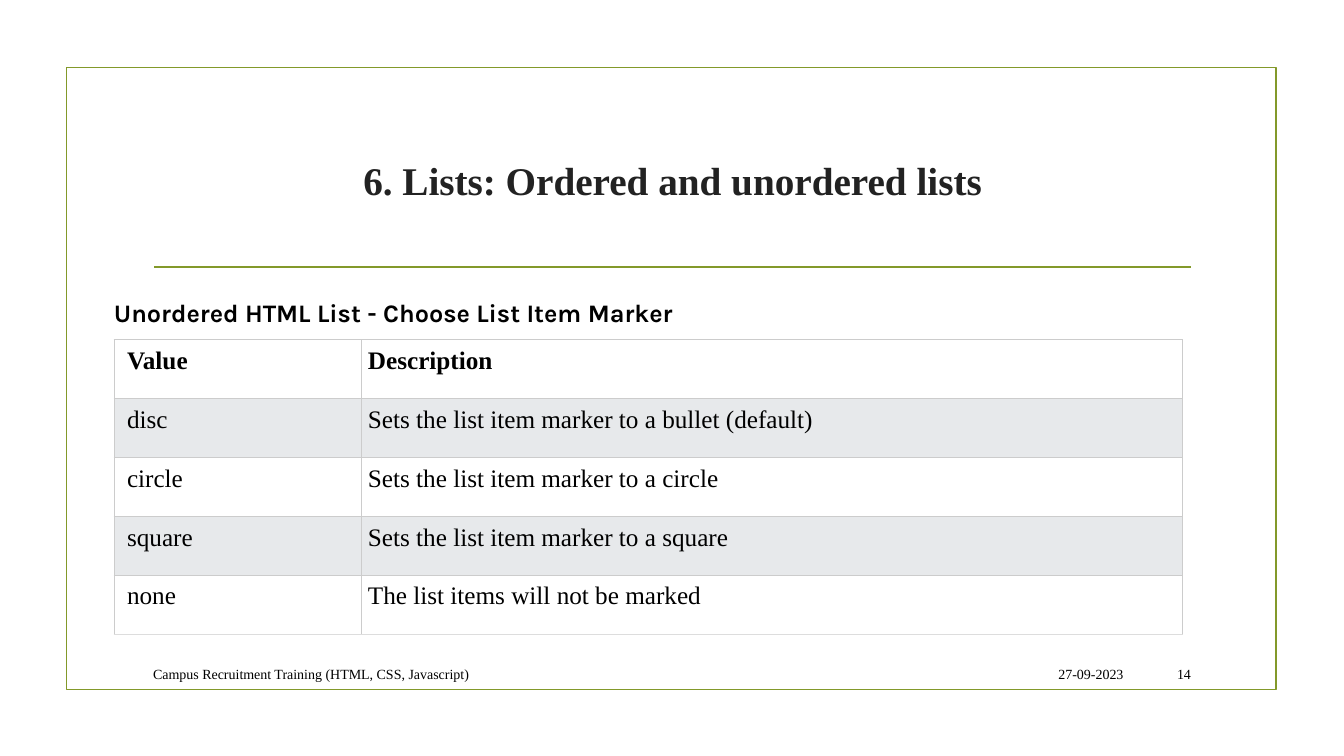
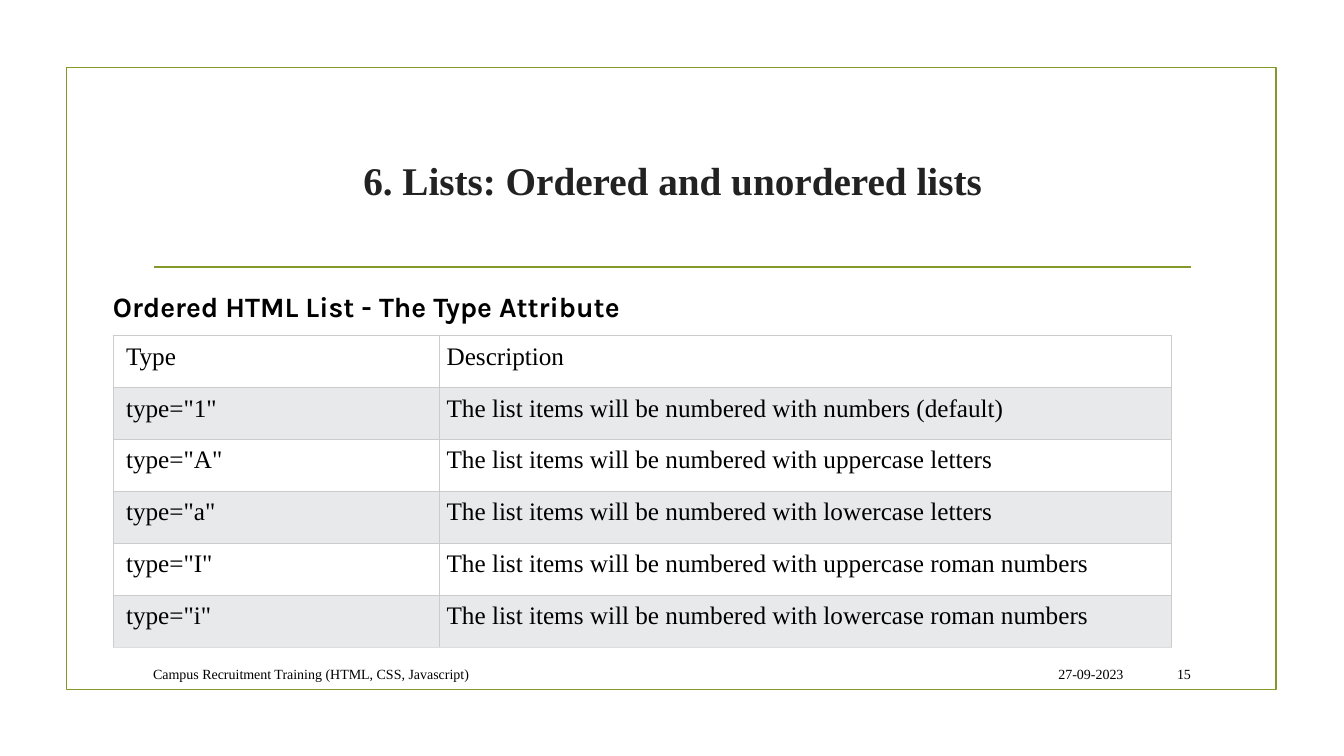
from lxml import etree
from pptx import Presentation
from pptx.dml.color import RGBColor
from pptx.enum.shapes import MSO_CONNECTOR, MSO_SHAPE
from pptx.enum.text import MSO_ANCHOR, MSO_AUTO_SIZE, PP_ALIGN
from pptx.oxml.ns import qn
from pptx.util import Inches, Pt

LEFT, CENTER, RIGHT = PP_ALIGN.LEFT, PP_ALIGN.CENTER, PP_ALIGN.RIGHT
MIDDLE, TOP = MSO_ANCHOR.MIDDLE, MSO_ANCHOR.TOP
NO_AUTOFIT = MSO_AUTO_SIZE.NONE
RECTANGLE = MSO_SHAPE.RECTANGLE
STRAIGHT = MSO_CONNECTOR.STRAIGHT
TITLE_ONLY = 5

# Shared style
GREEN, INK, BLACK, WHITE = "83992A", "222222", "000000", "FFFFFF"
BAND, BORDER, BOTTOM_BORDER = "E7E9EB", "CCCCCC", "DDDDDD"
SERIF, SANS = "Times New Roman", "Karla"
TITLE = "6. Lists: Ordered and unordered lists"
FOOTER = "Campus Recruitment Training (HTML, CSS, Javascript)"
DATE = "27-09-2023"

# Slide content
MARKER_ROWS = [
    ("Value", "Description"),
    ("disc", "Sets the list item marker to a bullet (default)"),
    ("circle", "Sets the list item marker to a circle"),
    ("square", "Sets the list item marker to a square"),
    ("none", "The list items will not be marked"),
]
TYPE_ROWS = [
    ("Type", "Description"),
    ('type="1"', "The list items will be numbered with numbers (default)"),
    ('type="A"', "The list items will be numbered with uppercase letters"),
    ('type="a"', "The list items will be numbered with lowercase letters"),
    ('type="I"', "The list items will be numbered with uppercase roman numbers"),
    ('type="i"', "The list items will be numbered with lowercase roman numbers"),
]


def paint(color_format, color):
    """Apply a hex colour to a fill, line or font."""
    color_format.rgb = RGBColor.from_string(color)


def fill_solid(target, color):
    target.fill.solid()
    paint(target.fill.fore_color, color)


def place(shape, left, top, width, height):
    shape.left, shape.top = Inches(left), Inches(top)
    shape.width, shape.height = Inches(width), Inches(height)


def write_text(frame, text, size=18, font=SERIF, color=BLACK, bold=False,
               align=LEFT, anchor=MIDDLE):
    frame.word_wrap = True
    frame.vertical_anchor = anchor
    para = frame.paragraphs[0]
    para.alignment = align
    span = para.add_run()
    span.text = text
    span.font.size, span.font.name, span.font.bold = Pt(size), font, bold
    paint(span.font.color, color)


def add_text(page, text, left, top, width, height, **style):
    box = page.shapes.add_textbox(Inches(left), Inches(top),
                                  Inches(width), Inches(height))
    write_text(box.text_frame, text, **style)
    return box


def add_frame(page):
    """Draw the green outline and the line below the title."""
    outline = page.shapes.add_shape(RECTANGLE, Inches(0.66), Inches(0.67),
                                    Inches(12), Inches(6.17))
    outline.shadow.inherit = False
    outline.fill.background()
    divider = page.shapes.add_connector(STRAIGHT, Inches(1.53), Inches(2.65),
                                        Inches(11.81), Inches(2.65))
    etree.SubElement(divider._element.spPr, qn("a:effectLst"))
    for shape in (outline, divider):
        paint(shape.line.color, GREEN)
        shape.line.width = Pt(1.25)


def add_page(deck, number):
    """Add a slide with the shared frame, title and footer."""
    page = deck.slides.add_slide(deck.slide_layouts[TITLE_ONLY])
    add_frame(page)
    title = page.shapes.title
    place(title, 1.42, 1.07, 10.5, 1.43)
    write_text(title.text_frame, TITLE, size=28, color=INK, bold=True,
               align=CENTER)
    title.text_frame.auto_size = NO_AUTOFIT
    add_text(page, FOOTER, 1.42, 6.53, 7.99, 0.31, size=10)
    add_text(page, DATE, 9.49, 6.53, 1.75, 0.31, size=10, align=RIGHT)
    add_text(page, str(number), 11.32, 6.53, 0.59, 0.31, size=10, align=RIGHT)
    return page


def add_heading(page, text, left, top, width, height, size):
    box = add_text(page, text, left, top, width, height, size=size, font=SANS,
                   bold=True)
    fill_solid(box, WHITE)
    frame = box.text_frame
    frame.margin_left = frame.margin_right = 0
    frame.margin_top = frame.margin_bottom = Inches(0.07)


def set_borders(cell, bottom):
    """Borders must come before the fill in the cell properties."""
    properties = cell._tc.get_or_add_tcPr()
    sides = {"lnL": BORDER, "lnR": BORDER, "lnT": BORDER, "lnB": bottom}
    for index, (side, color) in enumerate(sides.items()):
        line = etree.Element(qn(f"a:{side}"), w=str(Pt(0.6)))
        fill = etree.SubElement(line, qn("a:solidFill"))
        etree.SubElement(fill, qn("a:srgbClr"), val=color)
        properties.insert(index, line)


def add_grid(page, rows, left, top, widths, row_height, bold_header=False):
    table = page.shapes.add_table(
        len(rows), len(widths), Inches(left), Inches(top),
        Inches(sum(widths)), Inches(row_height * len(rows))).table
    for column, width in zip(table.columns, widths):
        column.width = Inches(width)
    for row_index, texts in enumerate(rows):
        table.rows[row_index].height = Inches(row_height)
        is_last = row_index == len(rows) - 1
        for column_index, text in enumerate(texts):
            cell = table.cell(row_index, column_index)
            cell.margin_left = Inches(0.07 if column_index else 0.13)
            cell.margin_right = cell.margin_top = cell.margin_bottom = Inches(0.07)
            write_text(cell.text_frame, text, anchor=TOP,
                       bold=bold_header and row_index == 0)
            fill_solid(cell, BAND if row_index % 2 else WHITE)
            set_borders(cell, BOTTOM_BORDER if is_last else BORDER)


def main():
    deck = Presentation()
    deck.slide_width, deck.slide_height = Inches(13.33), Inches(7.5)

    # Unordered list markers
    page = add_page(deck, 14)
    add_grid(page, MARKER_ROWS, 1.13, 3.37, (2.45, 8.15), 0.585,
             bold_header=True)
    add_heading(page, "Unordered HTML List - Choose List Item Marker",
                1.13, 2.88, 9.67, 0.44, size=18)

    # Ordered list types
    page = add_page(deck, 15)
    add_grid(page, TYPE_ROWS, 1.12, 3.33, (3.24, 7.26), 0.515)
    add_heading(page, "Ordered HTML List - The Type Attribute",
                1.12, 2.8, 6.61, 0.48, size=20)

    deck.save("out.pptx")


if __name__ == "__main__":
    main()
